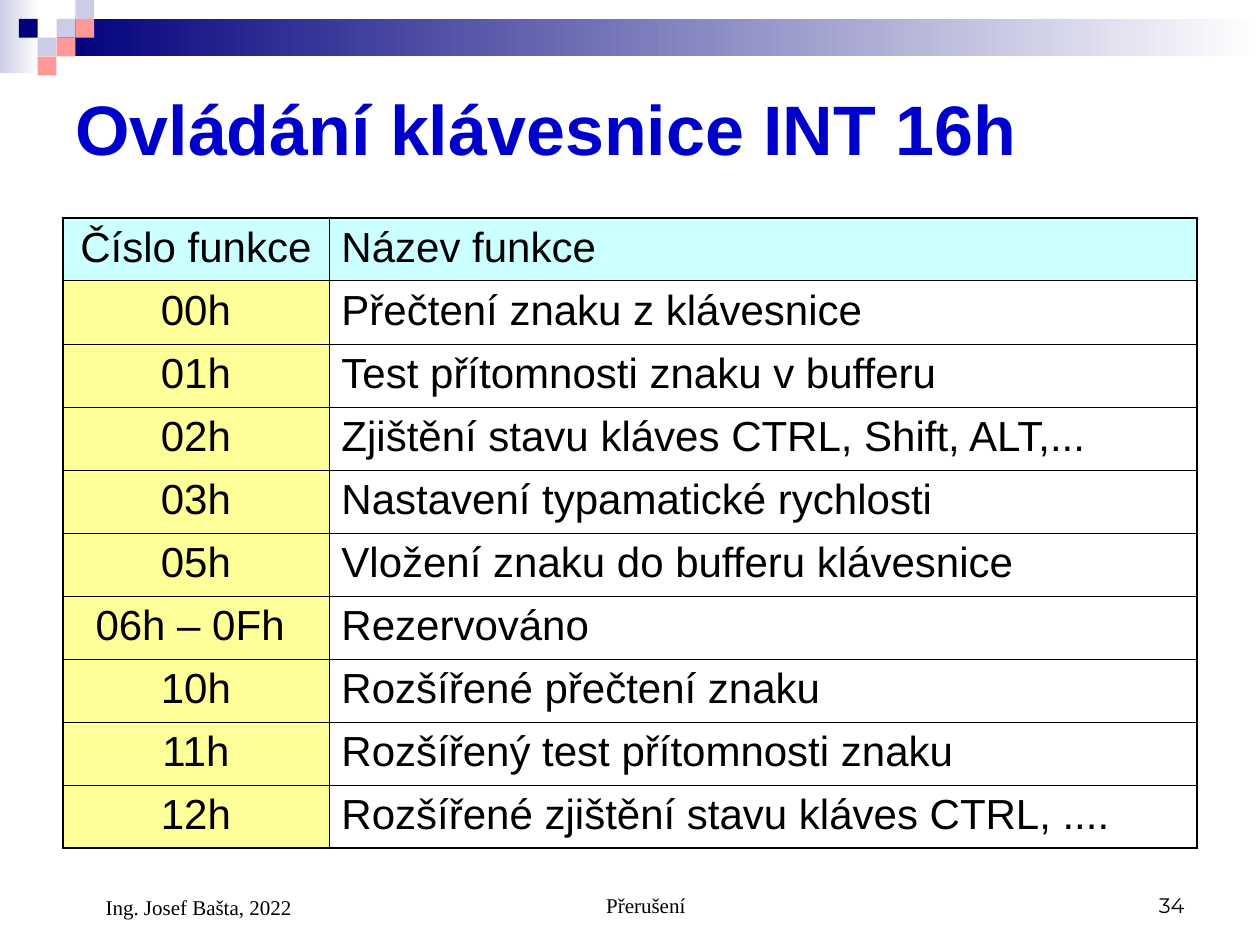
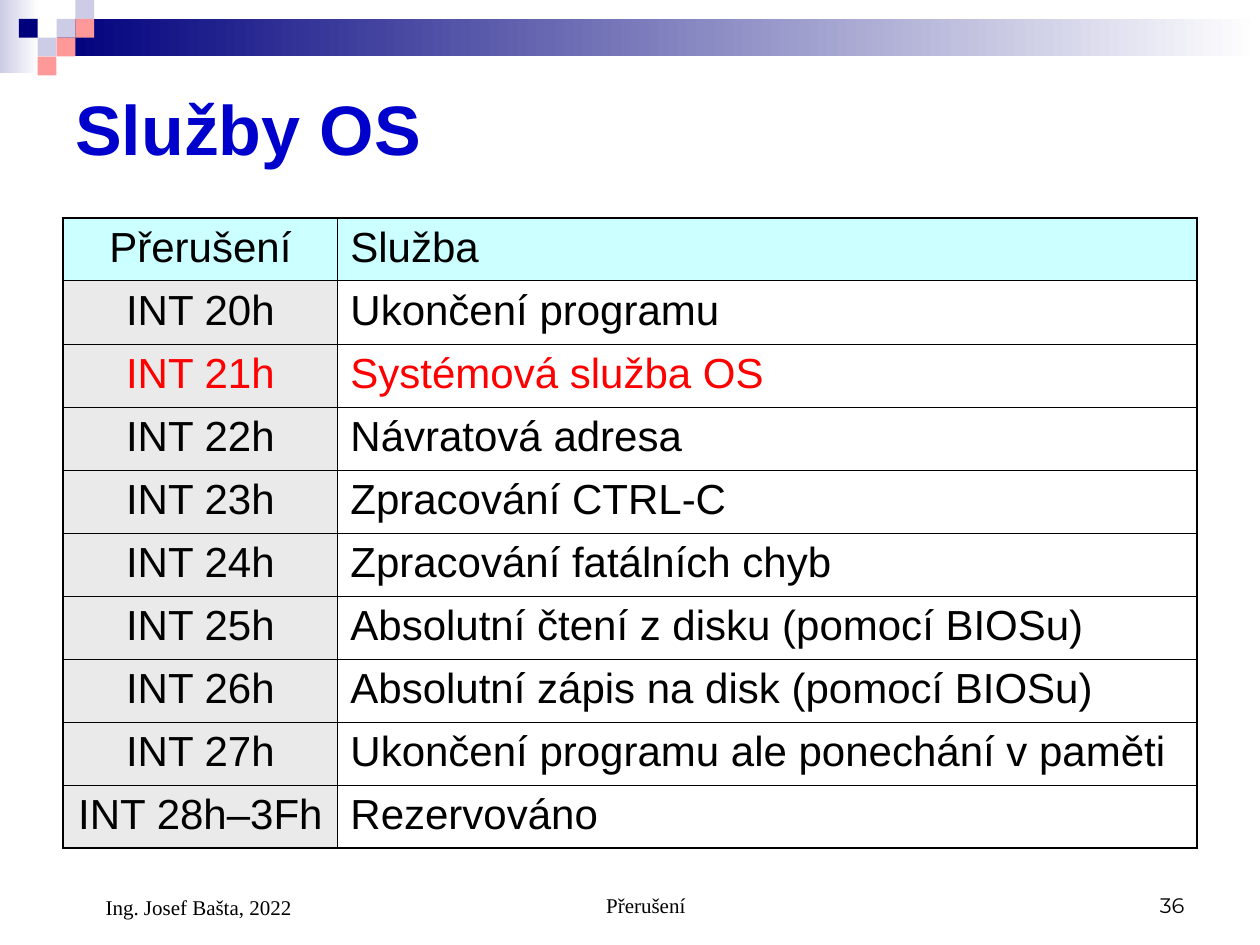
"""Builds two slides on keyboard and OS interrupt services."""
from dataclasses import dataclass

import lxml.etree
import pptx
import pptx.dml.color
import pptx.enum.shapes
import pptx.enum.text
import pptx.oxml.ns
import pptx.util
from pptx.util import Cm

ALIGN = pptx.enum.text.PP_ALIGN
ANCHOR = pptx.enum.text.MSO_ANCHOR

WHITE, BLACK, RED = "FFFFFF", "000000", "FF0000"
NAVY, LAVENDER, PINK = "00007D", "CCCCE6", "FF9999"
TITLE_BLUE, HEADER_CYAN = "0000CC", "CCFFFF"
CODE_YELLOW, CODE_GREY = "FFFF99", "EAEAEA"

SLIDE_WIDTH, SLIDE_HEIGHT = 25.4, 19.05
MARGIN = 1.27
CONTENT_WIDTH = SLIDE_WIDTH - 2 * MARGIN
TILE = 0.38
TABLE_TOP, TABLE_HEIGHT = 4.39, 12.65
FOOTER_TOP, FOOTER_INDENT = 17.35, 0.61
OUTER_LINE, INNER_LINE = 1.08, 0.45


@dataclass(frozen=True)
class Block:
    """A rectangle in centimetres, fading to white on request."""
    left: float
    top: float
    width: float
    height: float
    fill: str
    fades: bool = False


@dataclass(frozen=True)
class Label:
    """A single line of text and the box that holds it, in centimetres."""
    left: float
    top: float
    width: float
    height: float
    font: str = "Times New Roman"
    size: float = 12
    ink: str = BLACK
    bold: bool = False
    align: ALIGN = ALIGN.LEFT
    anchor: ANCHOR = ANCHOR.BOTTOM
    indent: float = 0


@dataclass(frozen=True)
class Topic:
    """The content of one slide."""
    title: str
    number: str
    code_width: float
    code_fill: str
    rows: tuple[tuple[str, str], ...]
    highlight: str = ""


def tile(column: int, row: int, fill: str) -> Block:
    """Places a small square on the corner grid."""
    return Block(column * TILE, row * TILE, TILE, TILE, fill)


BANNER = (
    Block(0, 0, 0.79, 1.47, LAVENDER, fades=True),
    Block(3 * TILE, TILE, SLIDE_WIDTH - 3 * TILE, 2 * TILE, NAVY, fades=True),
    tile(3, 1, LAVENDER),
    tile(4, 0, LAVENDER),
    tile(4, 1, PINK),
    tile(2, 2, LAVENDER),
    tile(1, 1, NAVY),
    tile(3, 2, PINK),
    tile(2, 3, PINK),
)
TITLE = Label(MARGIN, 1.27, CONTENT_WIDTH, 2.62, "Arial", 40, TITLE_BLUE,
              bold=True, anchor=ANCHOR.MIDDLE)
SUBJECT = Label(8.69, FOOTER_TOP, 8.05, 1.27, align=ALIGN.CENTER, indent=FOOTER_INDENT)
PAGE_NUMBER = Label(18.21, FOOTER_TOP, 5.92, 1.27, "Montserrat", align=ALIGN.RIGHT)
AUTHOR = Label(MARGIN, FOOTER_TOP, 5.92, 1.32, indent=FOOTER_INDENT)

TOPICS = (
    Topic("Ovládání klávesnice INT 16h", "34", 5.36, CODE_YELLOW, (
        ("Číslo funkce", "Název funkce"),
        ("00h", "Přečtení znaku z klávesnice"),
        ("01h", "Test přítomnosti znaku v bufferu"),
        ("02h", "Zjištění stavu kláves CTRL, Shift, ALT,..."),
        ("03h", "Nastavení typamatické rychlosti"),
        ("05h", "Vložení znaku do bufferu klávesnice"),
        ("06h – 0Fh ", "Rezervováno"),
        ("10h", "Rozšířené přečtení znaku"),
        ("11h", "Rozšířený test přítomnosti znaku"),
        ("12h", "Rozšířené zjištění stavu kláves CTRL, ...."),
    )),
    Topic("Služby OS", "36", 5.54, CODE_GREY, (
        ("Přerušení", "Služba"),
        ("INT 20h", "Ukončení programu"),
        ("INT 21h", "Systémová služba OS"),
        ("INT 22h", "Návratová adresa"),
        ("INT 23h", "Zpracování CTRL-C"),
        ("INT 24h", "Zpracování fatálních chyb"),
        ("INT 25h", "Absolutní čtení z disku (pomocí BIOSu)"),
        ("INT 26h", "Absolutní zápis na disk (pomocí BIOSu)"),
        ("INT 27h", "Ukončení programu ale ponechání v paměti"),
        ("INT 28h–3Fh", "Rezervováno"),
    ), highlight="INT 21h"),
)


def colour(code: str) -> pptx.dml.color.RGBColor:
    """Turns a hex string into a colour."""
    return pptx.dml.color.RGBColor.from_string(code)


def write(paragraph, text: str, font: str, size: float, ink: str, bold: bool = False) -> None:
    """Adds one formatted run to a paragraph."""
    run = paragraph.add_run()
    run.text = text
    run.font.name = font
    run.font.size = pptx.util.Pt(size)
    run.font.bold = bold
    run.font.color.rgb = colour(ink)


def draw_block(slide, block: Block) -> None:
    """Draws a borderless rectangle, solid or fading to the right."""
    rectangle = slide.shapes.add_shape(
        pptx.enum.shapes.MSO_SHAPE.RECTANGLE,
        Cm(block.left), Cm(block.top), Cm(block.width), Cm(block.height))
    rectangle.shadow.inherit = False
    rectangle.line.fill.background()
    if block.fades:
        rectangle.fill.gradient()
        rectangle.fill.gradient_angle = 0
        for stop, shade in zip(rectangle.fill.gradient_stops, (block.fill, WHITE)):
            stop.color.rgb = colour(shade)
    else:
        rectangle.fill.solid()
        rectangle.fill.fore_color.rgb = colour(block.fill)


def draw_label(slide, label: Label, text: str) -> None:
    """Draws a text box holding one line."""
    frame = slide.shapes.add_textbox(
        Cm(label.left), Cm(label.top), Cm(label.width), Cm(label.height)).text_frame
    frame.word_wrap = True
    frame.vertical_anchor = label.anchor
    paragraph = frame.paragraphs[0]
    paragraph.alignment = label.align
    if label.indent:
        paragraph._p.get_or_add_pPr().set("marL", str(Cm(label.indent)))
    write(paragraph, text, label.font, label.size, label.ink, label.bold)


def set_borders(cell, widths: dict[str, float]) -> None:
    """Gives the cell a black line of the stated width on each side."""
    qn = pptx.oxml.ns.qn
    properties = cell._tc.get_or_add_tcPr()
    for position, (side, width) in enumerate(widths.items()):
        line = lxml.etree.Element(qn(f"a:ln{side}"), w=str(pptx.util.Pt(width)))
        fill = lxml.etree.SubElement(line, qn("a:solidFill"))
        lxml.etree.SubElement(fill, qn("a:srgbClr"), val=BLACK)
        properties.insert(position, line)


def draw_services(slide, topic: Topic) -> None:
    """Draws the two-column table of codes and their meanings."""
    last = len(topic.rows) - 1
    table = slide.shapes.add_table(
        len(topic.rows), 2, Cm(MARGIN), Cm(TABLE_TOP),
        Cm(CONTENT_WIDTH), Cm(TABLE_HEIGHT)).table
    table.first_row = table.horz_banding = False
    table.columns[0].width = Cm(topic.code_width)
    table.columns[1].width = Cm(CONTENT_WIDTH - topic.code_width)
    for r, entry in enumerate(topic.rows):
        ink = RED if entry[0] == topic.highlight else BLACK
        for c, text in enumerate(entry):
            cell = table.cell(r, c)
            if r == 0 or c == 0:
                cell.fill.solid()
                cell.fill.fore_color.rgb = colour(HEADER_CYAN if r == 0 else topic.code_fill)
            else:
                cell.fill.background()
            edges = {"L": c == 0, "R": c == 1, "T": r == 0, "B": r == last}
            set_borders(cell, {side: OUTER_LINE if outer else INNER_LINE
                               for side, outer in edges.items()})
            paragraph = cell.text_frame.paragraphs[0]
            paragraph.alignment = ALIGN.CENTER if c == 0 else ALIGN.LEFT
            write(paragraph, text, "Arial", 24, ink)


def build_slide(presentation, topic: Topic) -> None:
    """Adds one complete slide."""
    slide = presentation.slides.add_slide(presentation.slide_layouts[6])
    slide.background.fill.solid()
    slide.background.fill.fore_color.rgb = colour(WHITE)
    for block in BANNER:
        draw_block(slide, block)
    draw_label(slide, TITLE, topic.title)
    draw_services(slide, topic)
    draw_label(slide, SUBJECT, "Přerušení")
    draw_label(slide, PAGE_NUMBER, topic.number)
    draw_label(slide, AUTHOR, "Ing. Josef Bašta, 2022")


def main() -> None:
    """Builds and saves the presentation."""
    presentation = pptx.Presentation()
    presentation.slide_width = Cm(SLIDE_WIDTH)
    presentation.slide_height = Cm(SLIDE_HEIGHT)
    for topic in TOPICS:
        build_slide(presentation, topic)
    presentation.save("out.pptx")


if __name__ == "__main__":
    main()
